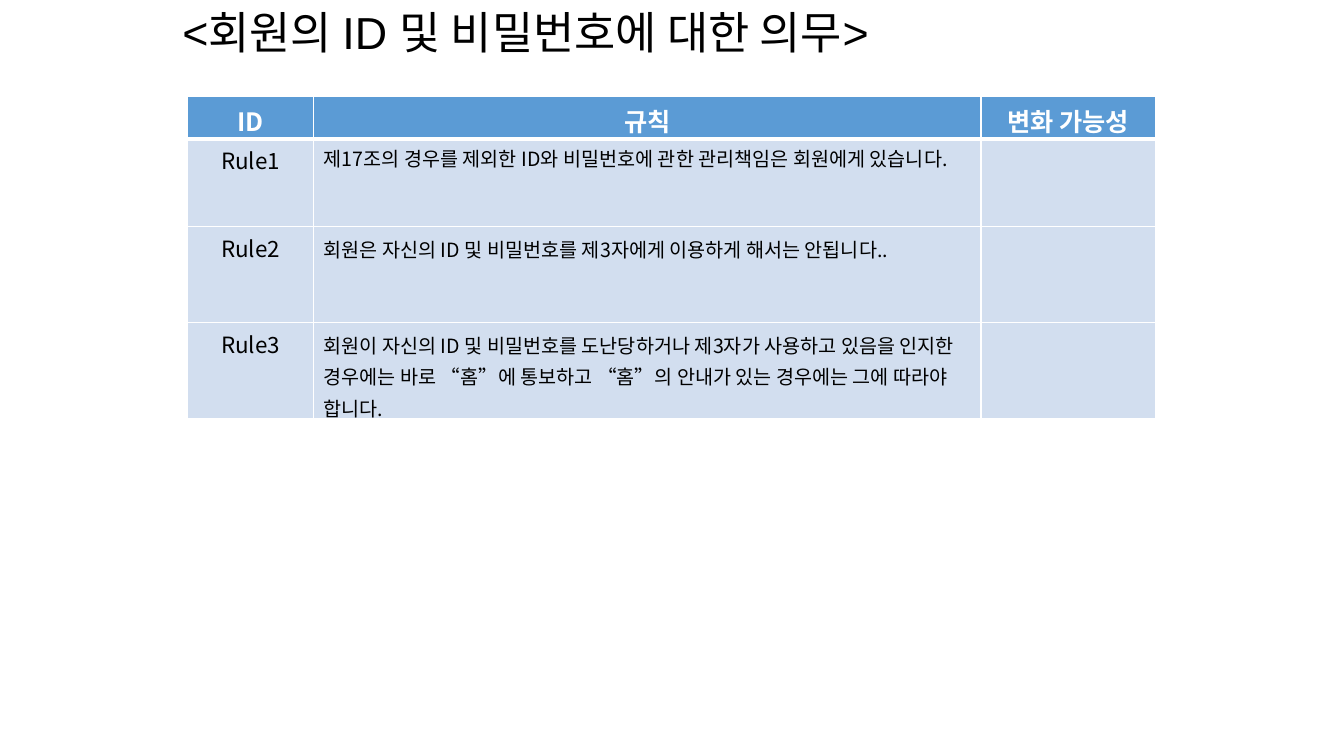
"""Build the slide listing members' duties for their ID and password."""
from dataclasses import dataclass

from lxml.etree import SubElement
from pptx import Presentation
from pptx.dml.color import RGBColor
from pptx.enum.text import MSO_ANCHOR as Anchor, MSO_AUTO_SIZE as AutoSize, PP_ALIGN as Align
from pptx.oxml.ns import qn
from pptx.util import Inches, Pt

HANGUL = "Noto Sans CJK KR"
WHITE, BLACK, HEADER_BLUE, BODY_BLUE = "FFFFFF", "000000", "5B9BD5", "D2DEEF"
COLUMN_WIDTHS = (1.25, 6.62, 1.73)
HEADINGS = ("ID", "규칙", "변화 가능성")


@dataclass
class Style:
    size: int
    color: str = BLACK
    bold: bool = False
    align: Align = Align.LEFT
    spacing: float = 1.0
    face: str = HANGUL


@dataclass
class Rule:
    label: str
    text: str
    height: float
    style: Style


TITLE = Style(32, face="Arial")
HEADING = Style(18, WHITE, True, Align.CENTER)
LABEL = Style(16, align=Align.CENTER)
RULES = (
    Rule("Rule1", "제17조의 경우를 제외한 ID와 비밀번호에 관한 관리책임은 회원에게 있습니다.",
         0.87, Style(14, align=Align.JUSTIFY)),
    Rule("Rule2", "회원은 자신의 ID 및 비밀번호를 제3자에게 이용하게 해서는 안됩니다..",
         0.95, Style(14, spacing=1.1)),
    Rule("Rule3", "회원이 자신의 ID 및 비밀번호를 도난당하거나 제3자가 사용하고 있음을 "
         "인지한 경우에는 바로 “홈”에 통보하고 “홈”의 안내가 있는 경우에는 그에 따라야 합니다.",
         0.95, Style(14, spacing=1.1)),
)


def rgb(value: str) -> RGBColor:
    return RGBColor.from_string(value)


def write(frame, text: str, style: Style) -> None:
    paragraph = frame.paragraphs[0]
    paragraph.alignment, paragraph.line_spacing = style.align, style.spacing
    run = paragraph.add_run()
    run.text = text
    font_format = {"size": Pt(style.size), "bold": style.bold, "name": style.face}
    for name, value in font_format.items():
        setattr(run.font, name, value)
    run.font.color.rgb = rgb(style.color)
    SubElement(run.font._element, qn("a:ea")).set("typeface", HANGUL)


def paint(cell, fill: str, bottom: int = 1) -> None:
    properties = cell._tc.get_or_add_tcPr()
    for side, width in {"L": 1, "R": 1, "T": 1, "B": bottom}.items():
        border = SubElement(properties, qn(f"a:ln{side}"), w=str(Pt(width)))
        SubElement(SubElement(border, qn("a:solidFill")), qn("a:srgbClr"), val=WHITE)
    cell.fill.solid()
    cell.fill.fore_color.rgb = rgb(fill)


def add_title(slide) -> None:
    title = slide.shapes.add_textbox(Inches(1.71), 0, Inches(7.56), Inches(0.64)).text_frame
    for name, value in {"word_wrap": False, "auto_size": AutoSize.SHAPE_TO_FIT_TEXT}.items():
        setattr(title, name, value)
    write(title, "<회원의 ID 및 비밀번호에 대한 의무>", TITLE)


def add_rules(slide) -> None:
    rules = slide.shapes.add_table(len(RULES) + 1, len(HEADINGS), Inches(1.86), Inches(0.96),
                                   Inches(9.6), Inches(3.19)).table
    for column, width in zip(rules.columns, COLUMN_WIDTHS):
        column.width = Inches(width)
    rules.rows[0].height = Inches(0.42)
    for cell, heading in zip(rules.rows[0].cells, HEADINGS):
        paint(cell, HEADER_BLUE, bottom=3)
        cell.vertical_anchor = Anchor.MIDDLE
        write(cell.text_frame, heading, HEADING)
    for index, rule in enumerate(RULES, start=1):
        row = rules.rows[index]
        row.height = Inches(rule.height)
        for cell in row.cells:
            paint(cell, BODY_BLUE)
        write(rules.cell(index, 0).text_frame, rule.label, LABEL)
        write(rules.cell(index, 1).text_frame, rule.text, rule.style)


def main() -> None:
    deck = Presentation()
    deck.slide_width, deck.slide_height = Inches(13.33), Inches(7.5)
    slide = deck.slides.add_slide(deck.slide_layouts[6])
    add_title(slide)
    add_rules(slide)
    deck.save("out.pptx")


if __name__ == "__main__":
    main()
